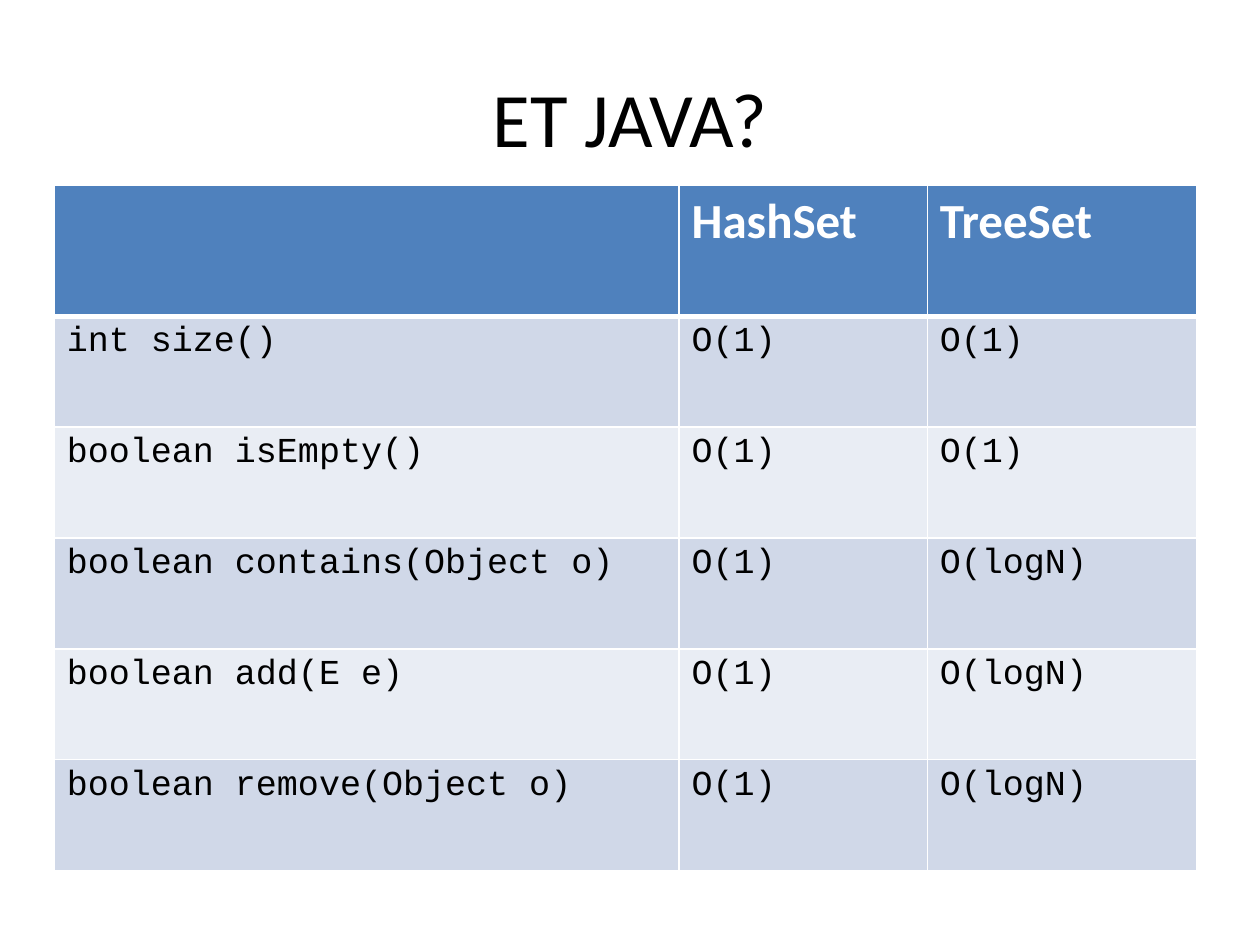
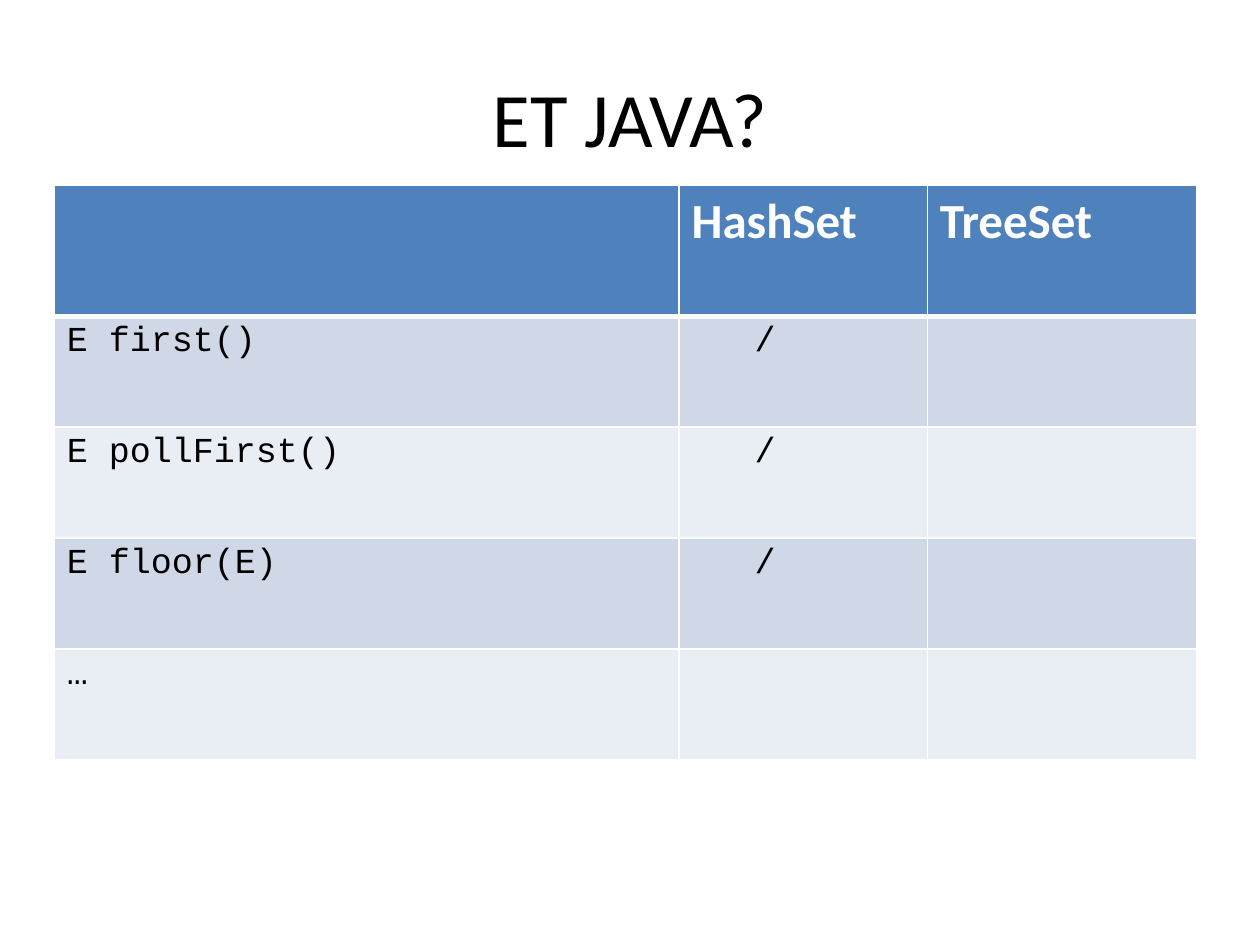
from dataclasses import dataclass

from lxml.etree import SubElement as Sub
from pptx import Presentation
from pptx.dml.color import RGBColor as RGB
from pptx.enum.text import MSO_ANCHOR as Anchor, PP_ALIGN as Align
from pptx.oxml.ns import qn
from pptx.util import Inches, Pt

TITLE = "ET JAVA?"
HEAD = ("", "HashSet", "TreeSet")
TABLES = [
    [
        ("int size()", "O(1)", "O(1)"),
        ("boolean isEmpty()", "O(1)", "O(1)"),
        ("boolean contains(Object o)", "O(1)", "O(logN)"),
        ("boolean add(E e)", "O(1)", "O(logN)"),
        ("boolean remove(Object o)", "O(1)", "O(logN)"),
    ],
    [
        ("E first()", "/", ""),
        ("E pollFirst()", "/", ""),
        ("E floor(E)", "/", ""),
        ("…", "", ""),
    ],
]


@dataclass(frozen=True)
class Font:
    name: str
    size: int
    color: str
    bold: bool = False


@dataclass(frozen=True)
class Theme:
    title: Font = Font("Calibri", 44, "000000")
    head: Font = Font("Calibri", 28, "FFFFFF", True)
    code: Font = Font("Courier New", 20, "000000")
    header: str = "4F81BD"
    bands: tuple = ("D0D8E8", "E9EDF4")
    line: str = "FFFFFF"
    thin: int = 1
    thick: int = 3


THEME = Theme()
LEFT, TOP = 0.43, 1.47
COLS = (4.96, 1.97, 2.14)
HEAD_H, ROW_H = 1.04, 0.88
INDENT = 0.5  # sets off the "/" of a missing method


def write(para, text, font):
    run = para.add_run()
    run.text = text
    run.font.name = font.name
    run.font.size = Pt(font.size)
    run.font.bold = font.bold
    run.font.color.rgb = RGB.from_string(font.color)


def edge(cell, side, width):
    line = Sub(cell._tc.get_or_add_tcPr(), qn(f"a:ln{side}"), w=str(Pt(width)))
    fill = Sub(line, qn("a:solidFill"))
    Sub(fill, qn("a:srgbClr"), val=THEME.line)


def style(cell, row):
    """Draw the borders and the fill; the rule under the header is thick."""
    thick = {"T": row == 1, "B": row == 0}
    for side in "LRTB":
        edge(cell, side, THEME.thick if thick.get(side) else THEME.thin)
    color = THEME.bands[(row - 1) % 2] if row else THEME.header
    cell.fill.solid()
    cell.fill.fore_color.rgb = RGB.from_string(color)


def add_title(slide):
    box = slide.shapes.add_textbox(Inches(0.5), Inches(0.3), Inches(9), Inches(1.25))
    frame = box.text_frame
    frame.word_wrap = True
    frame.vertical_anchor = Anchor.MIDDLE
    para = frame.paragraphs[0]
    para.alignment = Align.CENTER
    write(para, TITLE, THEME.title)


def add_grid(slide, body):
    rows = [HEAD, *body]
    highs = [HEAD_H] + [ROW_H] * len(body)
    table = slide.shapes.add_table(
        len(rows), len(COLS), Inches(LEFT), Inches(TOP),
        Inches(sum(COLS)), Inches(sum(highs))).table
    for col, width in zip(table.columns, COLS):
        col.width = Inches(width)
    for r, (texts, high) in enumerate(zip(rows, highs)):
        table.rows[r].height = Inches(high)
        for c, text in enumerate(texts):
            cell = table.cell(r, c)
            style(cell, r)
            para = cell.text_frame.paragraphs[0]
            if text == "/":
                para._p.get_or_add_pPr().set("marL", str(Inches(INDENT)))
            if text:
                write(para, text, THEME.code if r else THEME.head)


def main():
    deck = Presentation()
    deck.slide_width, deck.slide_height = Inches(10), Inches(7.5)
    for body in TABLES:
        slide = deck.slides.add_slide(deck.slide_layouts[6])
        add_title(slide)
        add_grid(slide, body)
    deck.save("out.pptx")


if __name__ == "__main__":
    main()
